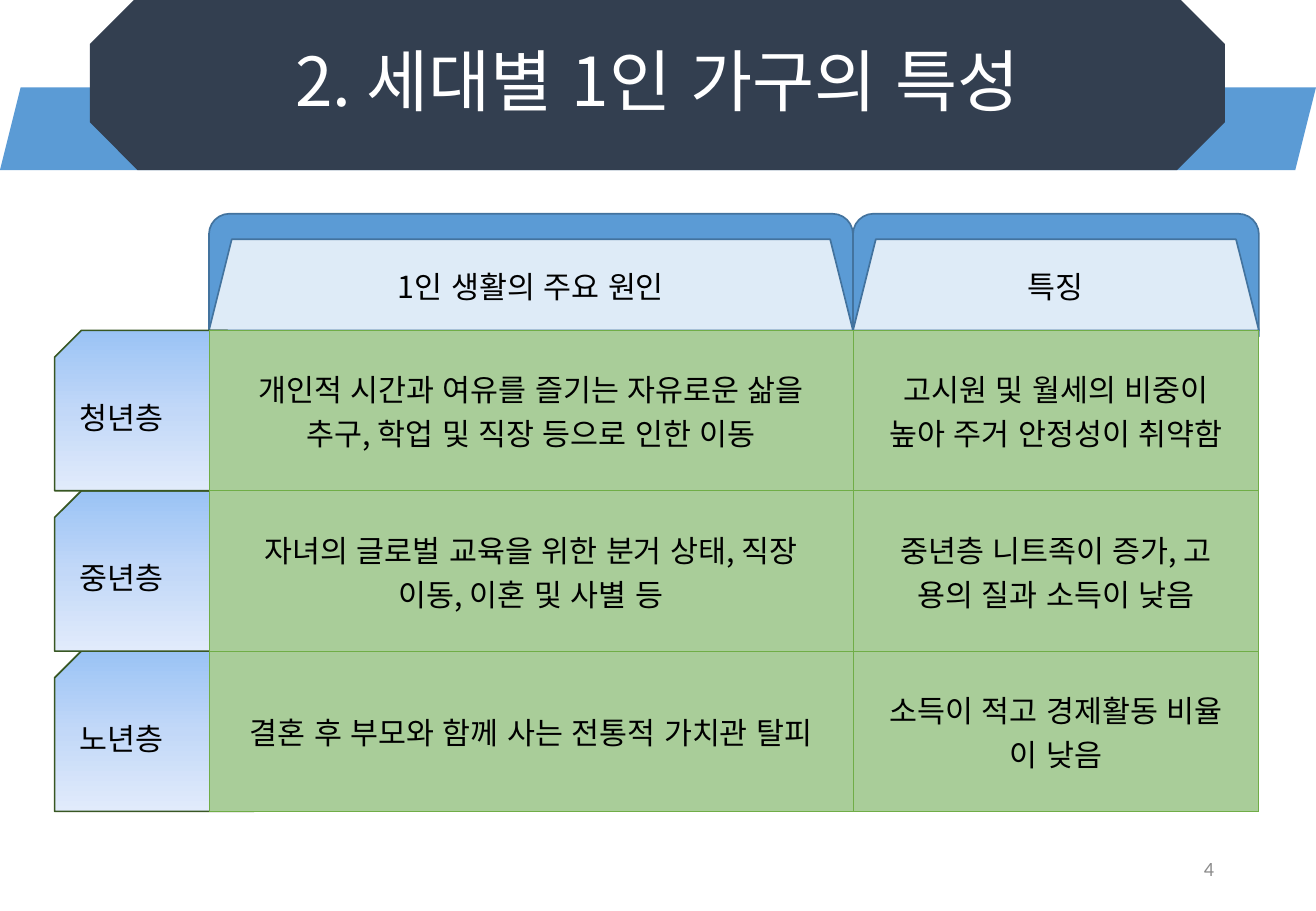
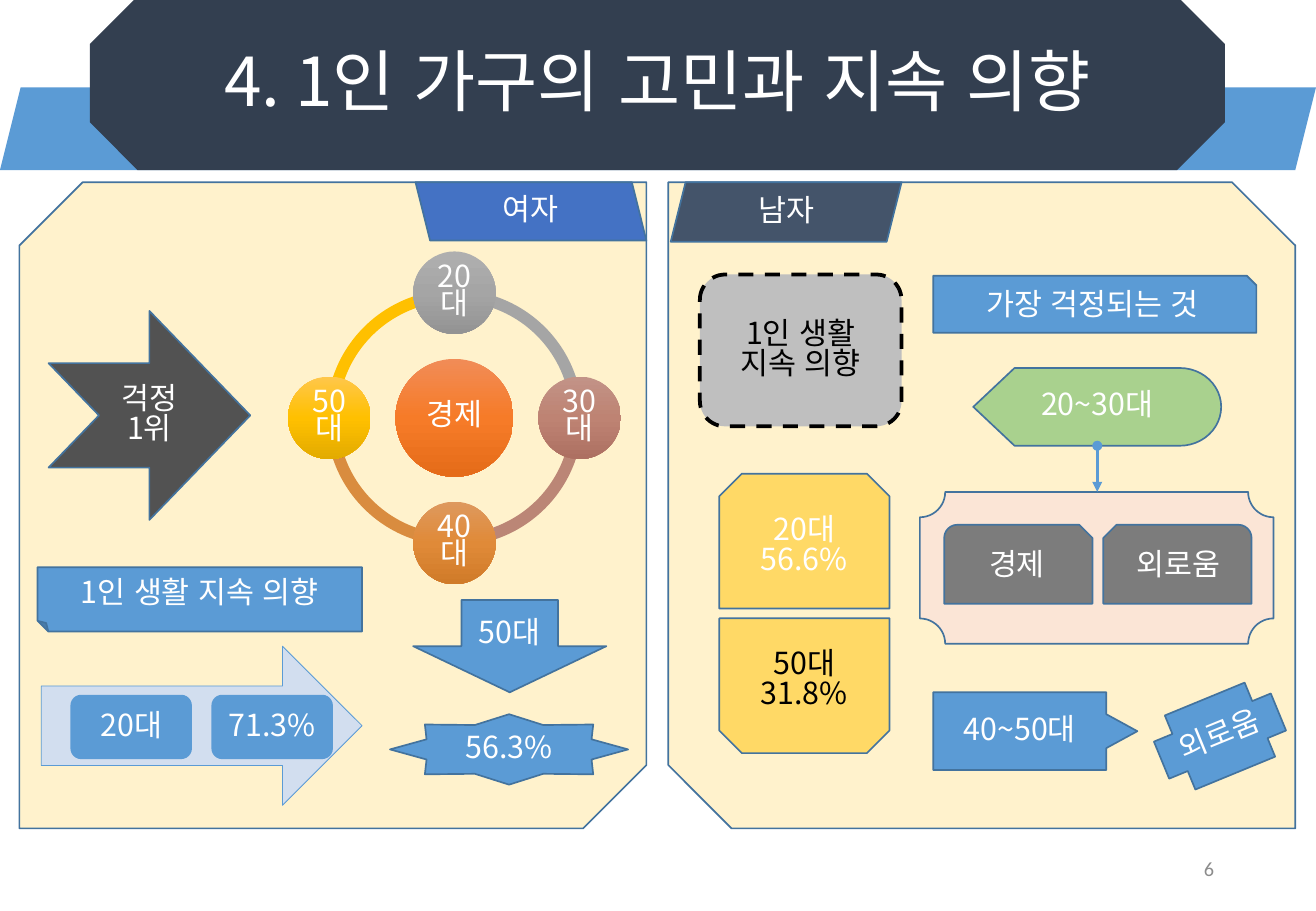
from copy import deepcopy
from math import cos, radians, sin

from lxml import etree
from pptx import Presentation
from pptx.dml.color import RGBColor
from pptx.enum.dml import MSO_LINE
from pptx.enum.lang import MSO_LANGUAGE_ID
from pptx.enum.shapes import MSO_CONNECTOR, MSO_SHAPE
from pptx.enum.text import MSO_ANCHOR, MSO_AUTO_SIZE, PP_ALIGN
from pptx.oxml.ns import qn
from pptx.util import Inches, Pt

# Enum members
CENTER, LEFT, RIGHT = PP_ALIGN.CENTER, PP_ALIGN.LEFT, PP_ALIGN.RIGHT
MIDDLE = MSO_ANCHOR.MIDDLE
KOREAN = MSO_LANGUAGE_ID.KOREAN
STRAIGHT = MSO_CONNECTOR.STRAIGHT
PARALLELOGRAM, OCTAGON = MSO_SHAPE.PARALLELOGRAM, MSO_SHAPE.OCTAGON
ROUND_TOP, TRAPEZOID = MSO_SHAPE.ROUND_2_SAME_RECTANGLE, MSO_SHAPE.TRAPEZOID
SNIP_TOP, SNIP_DIAGONAL = MSO_SHAPE.SNIP_2_SAME_RECTANGLE, MSO_SHAPE.SNIP_2_DIAG_RECTANGLE
SNIP_ONE, SNIP_ROUND = MSO_SHAPE.SNIP_1_RECTANGLE, MSO_SHAPE.SNIP_ROUND_RECTANGLE
ROUNDED, OVAL, BLOCK_ARC = MSO_SHAPE.ROUNDED_RECTANGLE, MSO_SHAPE.OVAL, MSO_SHAPE.BLOCK_ARC
NOTCHED, RIGHT_ARROW, DOWN_ARROW = (
    MSO_SHAPE.NOTCHED_RIGHT_ARROW, MSO_SHAPE.RIGHT_ARROW, MSO_SHAPE.DOWN_ARROW)
FOLDED, STAR, PLAQUE = MSO_SHAPE.FOLDED_CORNER, MSO_SHAPE.STAR_8_POINT, MSO_SHAPE.PLAQUE
DISPLAY, CALLOUT, CROSS = (
    MSO_SHAPE.FLOWCHART_DISPLAY, MSO_SHAPE.RIGHT_ARROW_CALLOUT, MSO_SHAPE.CROSS)

# Shared style
WHITE, BLACK = RGBColor(255, 255, 255), RGBColor(0, 0, 0)
BLUE, EDGE = RGBColor(0x5B, 0x9B, 0xD5), RGBColor(0x43, 0x73, 0x9E)
NAVY, PALE_BLUE = RGBColor(0x33, 0x3F, 0x50), RGBColor(0xDE, 0xEB, 0xF7)
ARROW_BLUE, ROYAL = RGBColor(0xD2, 0xDE, 0xEF), RGBColor(0x44, 0x72, 0xC4)
SLATE, CREAM = RGBColor(0x44, 0x54, 0x6A), RGBColor(0xFF, 0xF2, 0xCC)
CELL_GREEN, BORDER_GREEN = RGBColor(0xA9, 0xCD, 0x99), RGBColor(0x70, 0xAD, 0x47)
DARK_GREEN, LIGHT_GREEN = RGBColor(0x38, 0x57, 0x23), RGBColor(0xA9, 0xD1, 0x8E)
CHARCOAL, GREY = RGBColor(0x52, 0x52, 0x52), RGBColor(0x7C, 0x7C, 0x7C)
SILVER, NUMBER_GREY = RGBColor(0xBF, 0xBF, 0xBF), RGBColor(0x8C, 0x8C, 0x8C)
YELLOW, PEACH = RGBColor(0xFF, 0xD9, 0x66), RGBColor(0xFB, 0xE5, 0xD6)
FONT, HEAD_FONT, NUMBER_FONT = "Noto Sans CJK KR", "Noto Sans CJK JP", "Calibri"
TITLE_BOX = (0.74, -0.03, 9.34, 1.45)


def gradient(*codes):
    return [RGBColor.from_string(code) for code in codes]


# Slide 1 content
HEADERS = ["1인 생활의 주요 원인", "특징"]
GENERATIONS = [
    ("청년층", "개인적 시간과 여유를 즐기는 자유로운 삶을\n추구, 학업 및 직장 등으로 인한 이동",
     "고시원 및 월세의 비중이\n높아 주거 안정성이 취약함"),
    ("중년층", "자녀의 글로벌 교육을 위한 분거 상태, 직장\n이동, 이혼 및 사별 등",
     "중년층 니트족이 증가, 고\n용의 질과 소득이 낮음"),
    ("노년층", "결혼 후 부모와 함께 사는 전통적 가치관 탈피",
     "소득이 적고 경제활동 비율\n이 낮음"),
]
TABLE_LEFT, TABLE_TOP, ROW_HEIGHT = 1.72, 2.72, 1.32
COLUMN_WIDTHS = [5.3, 3.34]
TAB_GRADIENT = gradient("9AC3F5", "C2D8F8", "E1EBFB")

# Slide 2 content: ring of ages, clockwise from the top, each with the arc that follows it
RING_CENTER, RING_RADIUS = (3.74, 3.44), 1.03
RING = [
    ("20\n대", gradient("AFAFAF", "A5A5A5", "939393"), RGBColor(0xA5, 0xA5, 0xA5)),
    ("30\n대", gradient("C29387", "BE8373", "AD7062"), RGBColor(0xBB, 0x86, 0x76)),
    ("40\n대", gradient("DE995E", "E08A38", "D07B29"), RGBColor(0xD9, 0x8C, 0x3F)),
    ("50\n대", gradient("FFC74B", "FFC000", "E3AB00"), RGBColor(0xFF, 0xC0, 0x00)),
]
HUB = ("경제", gradient("F18C57", "F67B28", "E56C19"))

# Shape, box, fill, text, options
WOMEN = [
    (SNIP_DIAGONAL, (0.16, 1.5, 5.16, 5.32), CREAM, "", {"adjust": [0.101, 0]}),
    (PARALLELOGRAM, (3.42, 1.5, 1.9, 0.48), ROYAL, "여자", {"flip": True}),
    (NOTCHED, (0.4, 2.56, 1.66, 1.72), CHARCOAL, "걱정\n1위", {}),
    (FOLDED, (0.31, 4.67, 2.67, 0.53), BLUE, "1인 생활 지속 의향", {"flip": True}),
    (DOWN_ARROW, (3.4, 4.94, 1.59, 0.76), BLUE, "50대", {}),
    (STAR, (3.21, 5.88, 1.96, 0.58), BLUE, "56.3%", {}),
    (RIGHT_ARROW, (0.34, 5.32, 2.64, 1.31), ARROW_BLUE, "", {"line": BLUE, "weight": 0.5}),
    (ROUNDED, (0.58, 5.72, 1, 0.53), BLUE, "20대", {"line": None}),
    (ROUNDED, (1.74, 5.72, 1, 0.53), BLUE, "71.3%", {"line": None}),
]
MEN = [
    (SNIP_DIAGONAL, (5.5, 1.5, 5.16, 5.32), CREAM, "", {"adjust": [0, 0.101]}),
    (PARALLELOGRAM, (5.52, 1.5, 1.9, 0.49), SLATE, "남자", {}),
    (ROUNDED, (5.76, 2.26, 1.66, 1.25), SILVER, "1인 생활\n지속 의향",
     {"line": BLACK, "weight": 2.25, "dash": MSO_LINE.DASH, "color": BLACK}),
    (SNIP_TOP, (5.92, 3.9, 1.4, 1.11), YELLOW, "20대\n56.6%", {}),
    (SNIP_TOP, (5.92, 5.09, 1.4, 1.11), YELLOW, "50대\n31.8%",
     {"adjust": [0, 0.167], "color": BLACK}),
    (SNIP_ONE, (7.68, 2.27, 2.66, 0.47), BLUE, "가장 걱정되는 것", {}),
    (DISPLAY, (8.01, 3.03, 2.04, 0.64), LIGHT_GREEN, "20~30대", {}),
    (PLAQUE, (7.57, 4.05, 2.91, 1.25), PEACH, "", {}),
    (SNIP_ROUND, (9.08, 4.32, 1.22, 0.65), GREY, "외로움", {"flip": True}),
    (SNIP_ROUND, (7.77, 4.32, 1.22, 0.65), GREY, "경제", {}),
    (CALLOUT, (7.68, 5.7, 1.68, 0.64), BLUE, "40~50대",
     {"adjust": [0.436, 0.218, 0.399, 0.909]}),
    (CROSS, (9.52, 5.73, 1.04, 0.66), BLUE, "외로움", {"rotation": 337.6}),
]


def inches(box):
    return [Inches(value) for value in box]


def write(frame, text, size=18, font=FONT, color=BLACK, align=CENTER, spacing=1.0):
    frame.word_wrap = True
    frame.vertical_anchor = MIDDLE
    para = frame.paragraphs[0]
    para.text = text
    para.alignment = align
    para.line_spacing = spacing
    for span in para.runs:
        span.font.size, span.font.name = Pt(size), font
        span.font.color.rgb = color
        span.font.language_id = KOREAN
        east_asian = etree.SubElement(span.font._element, qn("a:ea"))
        east_asian.set("typeface", font)


def paint(shape, fill):
    """Fill with one colour, or with a top-to-bottom gradient for a list of three."""
    if isinstance(fill, RGBColor):
        shape.fill.solid()
        shape.fill.fore_color.rgb = fill
        return
    shape.fill.gradient()
    shape.fill.gradient_angle = 270
    stop_list = shape.element.spPr.find(".//" + qn("a:gsLst"))
    stop_list.append(deepcopy(stop_list[-1]))
    for index, (stop, color) in enumerate(zip(shape.fill.gradient_stops, fill)):
        stop.position = index / 2
        stop.color.rgb = color


def draw(slide, kind, box, fill, text="", line=EDGE, weight=1, dash=None, adjust=(),
         flip=False, rotation=0, margin=0.03, **style):
    shape = slide.shapes.add_shape(kind, *inches(box))
    shape.shadow.inherit = False
    paint(shape, fill)
    if line is None:
        shape.line.fill.background()
    else:
        shape.line.color.rgb, shape.line.width = line, Pt(weight)
        if dash:
            shape.line.dash_style = dash
    for index, value in enumerate(adjust):
        shape.adjustments[index] = value
    if flip:
        shape.element.spPr.find(qn("a:xfrm")).set("flipH", "1")
    shape.rotation = rotation
    if text:
        frame = shape.text_frame
        frame.margin_left = frame.margin_right = Inches(margin)
        frame.margin_top = frame.margin_bottom = Inches(0.03)
        write(frame, text, **style)
    return shape


def add_page(deck, title, number):
    page = deck.slides.add_slide(deck.slide_layouts[5])
    box = page.shapes.title
    box.left, box.top, box.width, box.height = inches(TITLE_BOX)
    box.text_frame.auto_size = MSO_AUTO_SIZE.NONE
    write(box.text_frame, title, size=40, color=WHITE, spacing=0.9)
    box = page.shapes.add_textbox(*inches((7.65, 6.95, 2.44, 0.4)))
    write(box.text_frame, number, size=12, font=NUMBER_FONT, color=NUMBER_GREY, align=RIGHT)
    return page


def add_layout_band(deck, page):
    """Draw the title band once and move it to the layout that the slides share."""
    tree = deck.slide_layouts[5].shapes.element
    ribbon = draw(page, PARALLELOGRAM, (0, 0.72, 10.83, 0.68), BLUE, line=None)
    plate = draw(page, OCTAGON, (0.74, -0.03, 9.34, 1.43), NAVY, line=None, adjust=[0.274])
    for position, shape in enumerate((ribbon, plate), start=2):
        tree.insert(position, shape.element)


def set_borders(cell):
    properties = cell._tc.get_or_add_tcPr()
    for position, side in enumerate(("a:lnL", "a:lnR", "a:lnT", "a:lnB")):
        border = etree.Element(qn(side), w=str(Pt(0.5)))
        fill = etree.SubElement(border, qn("a:solidFill"))
        etree.SubElement(fill, qn("a:srgbClr"), val=str(BORDER_GREEN))
        properties.insert(position, border)


def build_generations(page):
    # Column headings
    left = TABLE_LEFT
    for heading, width in zip(HEADERS, COLUMN_WIDTHS):
        draw(page, ROUND_TOP, (left, 1.76, width, 1.01), BLUE)
        draw(page, TRAPEZOID, (left, 1.97, width, 0.75), PALE_BLUE, heading, font=HEAD_FONT)
        left += width

    # Row tabs, lowest first
    for row in reversed(range(len(GENERATIONS))):
        box = (0.45, TABLE_TOP + row * ROW_HEIGHT, 1.64, ROW_HEIGHT)
        draw(page, SNIP_TOP, box, TAB_GRADIENT, GENERATIONS[row][0], line=DARK_GREEN,
             margin=0.1, font=HEAD_FONT, align=LEFT)

    # Table
    rows = len(GENERATIONS)
    box = (TABLE_LEFT, TABLE_TOP, sum(COLUMN_WIDTHS), rows * ROW_HEIGHT)
    table = page.shapes.add_table(rows, len(COLUMN_WIDTHS), *inches(box)).table
    table.first_row = table.horz_banding = False
    for column, width in zip(table.columns, COLUMN_WIDTHS):
        column.width = Inches(width)
    for row, (_, *texts) in zip(table.rows, GENERATIONS):
        row.height = Inches(ROW_HEIGHT)
        for cell, text in zip(row.cells, texts):
            write(cell.text_frame, text)
            cell.vertical_anchor = MIDDLE
            cell.fill.solid()
            cell.fill.fore_color.rgb = CELL_GREEN
            set_borders(cell)


def square(x, y, size):
    return (x - size / 2, y - size / 2, size, size)


def build_ring(page):
    x, y = RING_CENTER
    style = {"line": None, "color": WHITE, "spacing": 0.75}
    for index, (_, _, color) in enumerate(RING):
        start = (270 + 90 * index) % 360
        angles = [angle * 0.6 for angle in (start, (start + 90) % 360)]
        draw(page, BLOCK_ARC, square(x, y, 2.11), color, line=None, adjust=[*angles, 0.046])
    draw(page, OVAL, square(x, y, 0.97), HUB[1], HUB[0], **style)
    for index, (age, fill, _) in enumerate(RING):
        turn = radians(90 * index)
        spot = (x + RING_RADIUS * sin(turn), y - RING_RADIUS * cos(turn))
        draw(page, OVAL, square(*spot, 0.68), fill, age, **style)


def build_worries(page):
    for kind, box, fill, text, options in WOMEN + MEN:
        draw(page, kind, box, fill, text, **{"color": WHITE, "spacing": 0.83, **options})
    build_ring(page)

    # Arrow from the age group to its worries
    arrow = page.shapes.add_connector(STRAIGHT, *inches((9.03, 3.67, 9.03, 4.05)))
    arrow.line.color.rgb, arrow.line.width = BLUE, Pt(1.5)
    line = arrow.line._get_or_add_ln()
    etree.SubElement(line, qn("a:headEnd"), type="oval")
    etree.SubElement(line, qn("a:tailEnd"), type="triangle")
    etree.SubElement(arrow.element.spPr, qn("a:effectLst"))


def main():
    deck = Presentation()
    deck.slide_width, deck.slide_height = Inches(10.83), Inches(7.5)
    page = add_page(deck, "2. 세대별 1인 가구의 특성", "4")
    add_layout_band(deck, page)
    build_generations(page)
    build_worries(add_page(deck, "4. 1인 가구의 고민과 지속 의향", "6"))
    deck.save("out.pptx")


if __name__ == "__main__":
    main()
